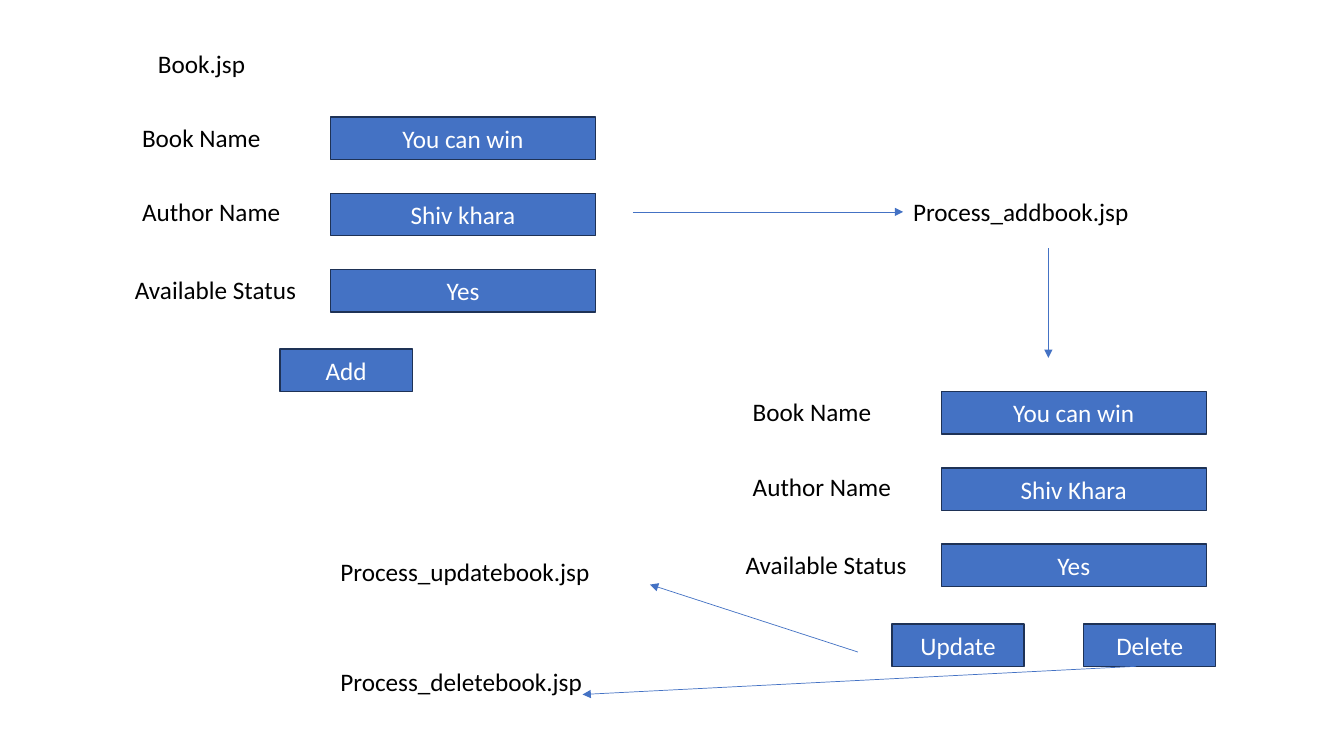
from pptx import Presentation
from pptx.dml.color import RGBColor
from pptx.enum.shapes import MSO_CONNECTOR, MSO_SHAPE
from pptx.enum.text import MSO_ANCHOR, MSO_AUTO_SIZE, PP_ALIGN
from pptx.oxml.ns import qn
from pptx.util import Cm, Pt
from lxml.etree import SubElement

BLUE, NAVY, WHITE, BLACK = "4472C4", "1E3256", "FFFFFF", "000000"
FIELD_WIDTH, BUTTON_WIDTH, BOX_HEIGHT, LABEL_HEIGHT = 6.68, 3.33, 1.07, 1.03
ROW_PITCH, BUTTON_DROP = 1.92, 5.85

deck = Presentation()
deck.slide_width, deck.slide_height = Cm(33.87), Cm(19.05)
page = deck.slides.add_slide(deck.slide_layouts[6])


def color(hex_string):
    return RGBColor.from_string(hex_string)


def add_text(text, left, top, width, filled=False):
    """Add a plain label, or a blue box with centred white text if filled."""
    if filled:
        box = page.shapes.add_shape(MSO_SHAPE.RECTANGLE, Cm(left), Cm(top),
                                    Cm(width), Cm(BOX_HEIGHT))
        box.shadow.inherit = False
        box.fill.solid()
        box.fill.fore_color.rgb = color(BLUE)
        box.line.color.rgb = color(NAVY)
        box.line.width = Pt(1)
    else:
        box = page.shapes.add_textbox(Cm(left), Cm(top), Cm(width), Cm(LABEL_HEIGHT))
        box.text_frame.auto_size = MSO_AUTO_SIZE.SHAPE_TO_FIT_TEXT
    frame = box.text_frame
    frame.word_wrap = True
    frame.vertical_anchor = MSO_ANCHOR.MIDDLE if filled else MSO_ANCHOR.TOP
    para = frame.paragraphs[0]
    para.alignment = PP_ALIGN.CENTER if filled else PP_ALIGN.LEFT
    span = para.add_run()
    span.text = text
    span.font.name = "Calibri"
    span.font.size = Pt(18)
    span.font.color.rgb = color(WHITE if filled else BLACK)


# Label, shift from the field's left and top, label width
labels = [
    ("Book Name", -5, 0, 4.17),
    ("Author Name", -5, -0.05, 4.17),
    ("Available Status", -5.18, 0, 5.18),
]
# Left and top of the fields, their values, buttons with their left edges
forms = [
    (8.33, 2.95, ["You can win", "Shiv khara", "Yes"], [("Add", 7.06)]),
    (23.72, 9.87, ["You can win", "Shiv Khara", "Yes"],
     [("Update", 22.48), ("Delete", 27.31)]),
]
for left, form_top, values, buttons in forms:
    for row, (value, label) in enumerate(zip(values, labels)):
        name, shift_x, shift_y, label_width = label
        top = form_top + row * ROW_PITCH
        add_text(value, left, top, FIELD_WIDTH, filled=True)
        add_text(name, left + shift_x, top + shift_y, label_width)
    for caption, button_left in buttons:
        add_text(caption, button_left, form_top + BUTTON_DROP, BUTTON_WIDTH, filled=True)

for file_name, left, top, width in [
    ("Book.jsp", 3.73, 1.09, 6.65),
    ("Process_addbook.jsp", 22.76, 4.83, 6.65),
    ("Process_updatebook.jsp", 8.33, 13.89, 7.62),
    ("Process_deletebook.jsp", 8.33, 16.67, 7.62),
]:
    add_text(file_name, left, top, width)

for ends in [
    (15.95, 5.34, 22.76, 5.34),
    (26.42, 6.25, 26.42, 9.02),
    (21.62, 16.43, 16.38, 14.73),
    (28.63, 16.79, 14.68, 17.5),
]:
    arrow = page.shapes.add_connector(MSO_CONNECTOR.STRAIGHT, *map(Cm, ends))
    arrow.line.color.rgb = color(BLUE)
    arrow.line.width = Pt(0.5)
    SubElement(arrow.line._get_or_add_ln(), qn("a:tailEnd"), type="triangle")
    SubElement(arrow._element.spPr, qn("a:effectLst"))

deck.save("out.pptx")
